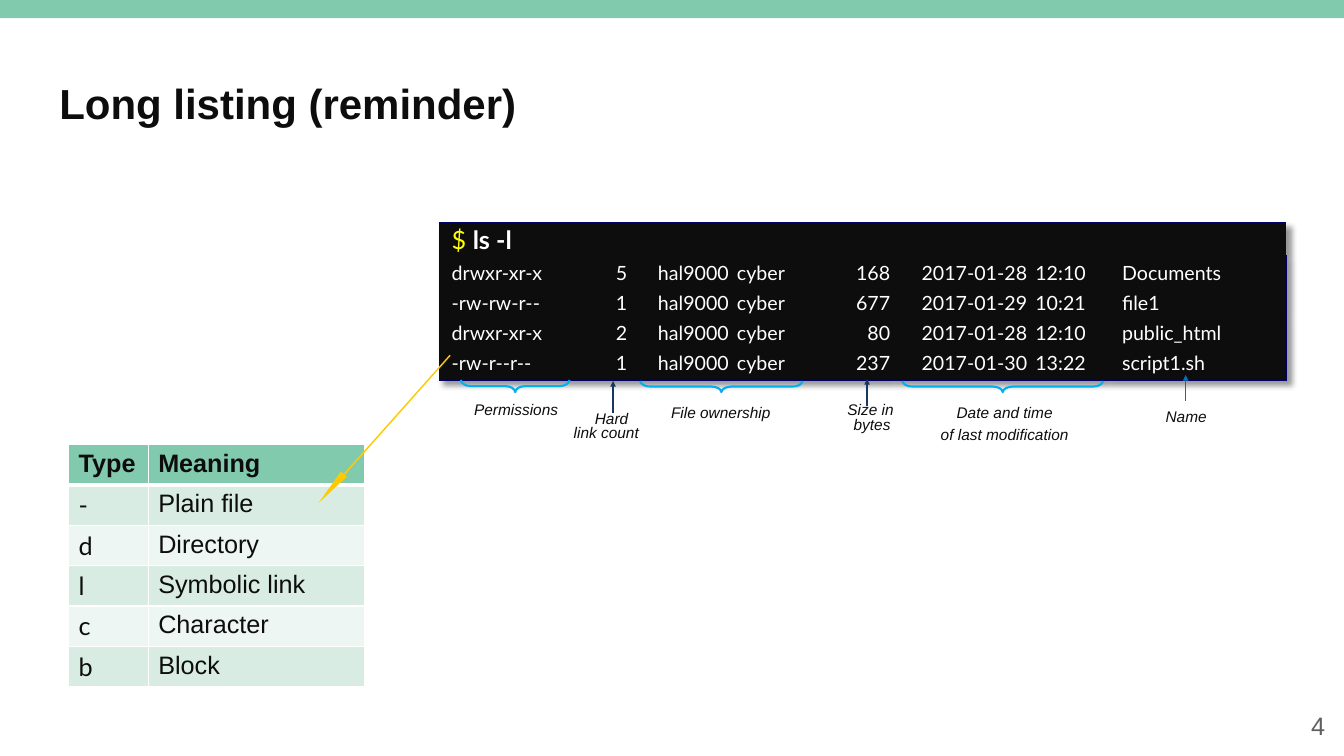
import pptx
import pptx.util
import pptx.dml.color
import pptx.enum.shapes
import pptx.enum.text
import pptx.oxml.ns
from lxml import etree

Inches, Pt = pptx.util.Inches, pptx.util.Pt
ALIGN, ANCHOR = pptx.enum.text.PP_ALIGN, pptx.enum.text.MSO_ANCHOR
SHAPES = pptx.enum.shapes
qn = pptx.oxml.ns.qn

INK, MINT, BLACK, NAVY, WHITE = "0D0D0D", "82CAAE", "0D0D0D", "000066", "FFFFFF"
BANDS = ["D8ECE3", "EDF6F2"]
NO_STYLE = "{2D5ABB26-0587-4C30-8999-92F81FD0307C}"

LISTING = [
    ("drwxr-xr-x", "5", "hal9000", "cyber", "168", "2017-01-28", "12:10", "Documents"),
    ("-rw-rw-r--", "1", "hal9000", "cyber", "677", "2017-01-29", "10:21", "file1"),
    ("drwxr-xr-x", "2", "hal9000", "cyber", "80", "2017-01-28", "12:10", "public_html"),
    ("-rw-r--r--", "1", "hal9000", "cyber", "237", "2017-01-30", "13:22", "script1.sh"),
]
LISTING_COLUMNS = [1.45, 0.41, 1.01, 0.89, 0.71, 1.36, 0.77, 1.8]
LISTING_ROWS = [0.28, 0.26, 0.26, 0.26, 0.35]
LISTING_INDENTS = {0: 0.12, 3: 0.08, 6: 0.08, 7: 0.17}  # other columns align right

TYPES = [("Type", "Meaning"), ("-", "Plain file"), ("d", "Directory"),
         ("l", "Symbolic link"), ("c", "Character"), ("b", "Block")]
TYPE_COLUMNS = [0.79, 2.15]

# left, top, width, height, top inset, alignment, margin, first indent, line spacing, lines
CAPTIONS = [
    (4.65, 3.96, 0.93, 0.2, 0.01, ALIGN.CENTER, 0.01, 0, None, [["Permissions"]]),
    (8.37, 3.95, 0.52, 0.36, 0.06, ALIGN.CENTER, 0.04, -0.03, 0.8, [["Size in ", "bytes"]]),
    (6.58, 3.99, 1.13, 0.2, 0.01, ALIGN.CENTER, 0.01, 0, None, [["File ", "ownership"]]),
    (5.68, 4.03, 0.79, 0.36, 0.06, ALIGN.LEFT, 0.01, 0.21, 0.8, [["Hard ", "link count"]]),
    (9.21, 3.95, 1.51, 0.44, 0.01, ALIGN.CENTER, 0, 0, Pt(15.8),
     [["Date and ", "time"], ["of ", "last ", "modification"]]),
    (11.37, 4.03, 0.78, 0.2, 0.01, ALIGN.CENTER, 0.01, 0, None, [["Name"]]),
]
BRACES = [(4.57, 5.65, 3.77, 0.12), (6.35, 7.96, 3.78, 0.11), (8.95, 10.94, 3.78, 0.11)]
# x, bottom, top, colour
ARROWS = [(6.08, 4.1, 3.78, "17375E"), (8.6, 4.03, 3.76, "17375E"), (11.76, 3.98, 3.72, "0070C0")]
POINTER = [(4.46, 3.52), (4.47, 3.53), (3.42, 4.71), (3.44, 4.73),
           (3.16, 4.99), (3.38, 4.68), (3.41, 4.7)]


def colour(code):
    return pptx.dml.color.RGBColor.from_string(code)


def paint(target, code):
    target.fill.solid()
    target.fill.fore_color.rgb = colour(code)


def write(para, text, size, font="Arial", code=INK, bold=False, italic=False):
    span = para.add_run()
    span.text = text
    span.font.size, span.font.name = Pt(size), font
    span.font.bold, span.font.italic = bold, italic
    span.font.color.rgb = colour(code)


def indent(para, margin, first=0):
    props = para._p.get_or_add_pPr()
    props.set("marL", str(Inches(margin)))
    props.set("indent", str(Inches(first)))


def add_box(page, left, top, width, height, anchor=ANCHOR.TOP):
    frame = page.shapes.add_textbox(*map(Inches, (left, top, width, height))).text_frame
    frame.word_wrap = True
    frame.vertical_anchor = anchor
    return frame


def add_plain_table(page, left, top, columns, rows):
    """Add a table without style, borders or bands."""
    table = page.shapes.add_table(len(rows), len(columns), Inches(left), Inches(top),
                                  Inches(sum(columns)), Inches(sum(rows))).table
    table.first_row = table.horz_banding = False
    table._tbl.tblPr.find(qn("a:tableStyleId")).text = NO_STYLE
    for column, width in zip(table.columns, columns):
        column.width = Inches(width)
    for row, height in zip(table.rows, rows):
        row.height = Inches(height)
    return table


def style_cell(cell, fill, line, borders):
    """Fill a cell; borders maps the sides L, R, T, B to widths in points."""
    props = cell._tc.get_or_add_tcPr()
    for side in "LRTB":
        if side in borders:
            edge = etree.SubElement(props, qn(f"a:ln{side}"), w=str(Pt(borders[side])))
            solid = etree.SubElement(edge, qn("a:solidFill"))
            etree.SubElement(solid, qn("a:srgbClr"), val=line)
    paint(cell, fill)


def add_outline(page, points):
    (x, y), *others = [(Inches(x), Inches(y)) for x, y in points]
    builder = page.shapes.build_freeform(x, y)
    builder.add_line_segments(others, close=len(points) == len(POINTER))
    shape = builder.convert_to_shape()
    shape.shadow.inherit = False
    return shape


def add_listing(page):
    table = add_plain_table(page, 4.36, 2.21, LISTING_COLUMNS, LISTING_ROWS)
    effects = etree.Element(qn("a:effectLst"))
    shadow = etree.SubElement(effects, qn("a:outerShdw"), blurRad=str(Pt(4)),
                              dist=str(Pt(4)), dir="2700000")
    shade = etree.SubElement(shadow, qn("a:srgbClr"), val="000000")
    etree.SubElement(shade, qn("a:alpha"), val="40000")
    table._tbl.tblPr.insert(0, effects)

    last_row, last_column = len(LISTING), len(LISTING_COLUMNS) - 1
    for r in range(last_row + 1):
        for c in range(last_column + 1):
            cell = table.cell(r, c)
            cell.margin_left = cell.margin_right = cell.margin_top = cell.margin_bottom = 0
            sides = {"L": c == 0, "R": c == last_column and r > 0, "T": r == 0, "B": r == last_row}
            style_cell(cell, BLACK, NAVY, {side: 1 for side, shown in sides.items() if shown})
            if r == 0:
                continue
            para = cell.text_frame.paragraphs[0]
            para.line_spacing = Pt(21.3)
            if c in LISTING_INDENTS:
                indent(para, LISTING_INDENTS[c])
            else:
                para.alignment = ALIGN.RIGHT
            write(para, LISTING[r - 1][c], 14, "Lato", WHITE)
    table.cell(0, 0).merge(table.cell(0, last_column))
    command = table.cell(0, 0).text_frame.paragraphs[0]
    command.line_spacing = Pt(23.2)
    indent(command, 0.12)
    write(command, "$ ", 18, "Lato", "FFFF00")
    write(command, "ls -l", 18, "Lato", WHITE, bold=True)


def add_types(page):
    table = add_plain_table(page, 0.68, 4.41, TYPE_COLUMNS, [0.4] * len(TYPES))
    for r, row in enumerate(TYPES):
        for c, text in enumerate(row):
            borders = {"L": 1, "R": 1, "T": 3 if r == 1 else 1, "B": 3 if r == 0 else 1}
            cell = table.cell(r, c)
            style_cell(cell, BANDS[(r - 1) % 2] if r else MINT, WHITE, borders)
            write(cell.text_frame.paragraphs[0], text, 18,
                  "Lato" if r and c == 0 else "Arial", bold=r == 0)


def add_brace(page, left, right, top, depth):
    middle = (left + right) / 2
    half = [(left, 0), (left + 0.01, 0.2), (left + 0.03, 0.35), (left + 0.06, 0.46),
            (left + 0.1, 0.5), (middle - 0.1, 0.5), (middle - 0.06, 0.55),
            (middle - 0.03, 0.65), (middle - 0.01, 0.8), (middle, 1)]
    mirrored = [(left + right - x, y) for x, y in reversed(half[:-1])]
    brace = add_outline(page, [(x, top + y * depth) for x, y in half + mirrored])
    brace.fill.background()
    brace.line.color.rgb = colour("00B0F0")
    brace.line.width = Pt(1.5)


def add_arrow(page, x, bottom, top, code):
    arrow = page.shapes.add_connector(SHAPES.MSO_CONNECTOR.STRAIGHT,
                                      *map(Inches, (x, bottom, x, top)))
    arrow.line.color.rgb = colour(code)
    arrow.line.width = Pt(1)
    etree.SubElement(arrow.line._get_or_add_ln(), qn("a:tailEnd"), type="triangle", w="sm", len="sm")
    etree.SubElement(arrow._element.spPr, qn("a:effectLst"))


def main():
    deck = pptx.Presentation()
    deck.slide_width, deck.slide_height = Inches(13.33), Inches(7.5)
    page = deck.slides.add_slide(deck.slide_layouts[6])

    band = page.shapes.add_shape(SHAPES.MSO_SHAPE.RECTANGLE, 0, 0, deck.slide_width, Inches(0.18))
    band.shadow.inherit = False
    paint(band, MINT)
    band.line.fill.background()

    title = add_box(page, 0.49, 0.55, 12.36, 0.94, ANCHOR.MIDDLE).paragraphs[0]
    write(title, "Long listing (reminder)", 30, bold=True)
    number = add_box(page, 10.24, 7, 3, 0.4, ANCHOR.MIDDLE).paragraphs[0]
    number.alignment = ALIGN.RIGHT
    write(number, "4", 18, code="5F5F5F")

    add_listing(page)
    for left, top, width, height, inset, align, margin, first, spacing, lines in CAPTIONS:
        frame = add_box(page, left, top, width, height)
        frame.margin_left = frame.margin_right = frame.margin_bottom = 0
        frame.margin_top = Inches(inset)
        for i, line in enumerate(lines):
            para = frame.add_paragraph() if i else frame.paragraphs[0]
            para.alignment, para.line_spacing = align, spacing
            indent(para, margin, first)
            for text in line:
                write(para, text, 11, italic=True)
    for brace in BRACES:
        add_brace(page, *brace)
    for arrow in ARROWS:
        add_arrow(page, *arrow)
    add_types(page)
    pointer = add_outline(page, POINTER)
    paint(pointer, "FFCA01")
    pointer.line.fill.background()
    deck.save("out.pptx")


if __name__ == "__main__":
    main()
